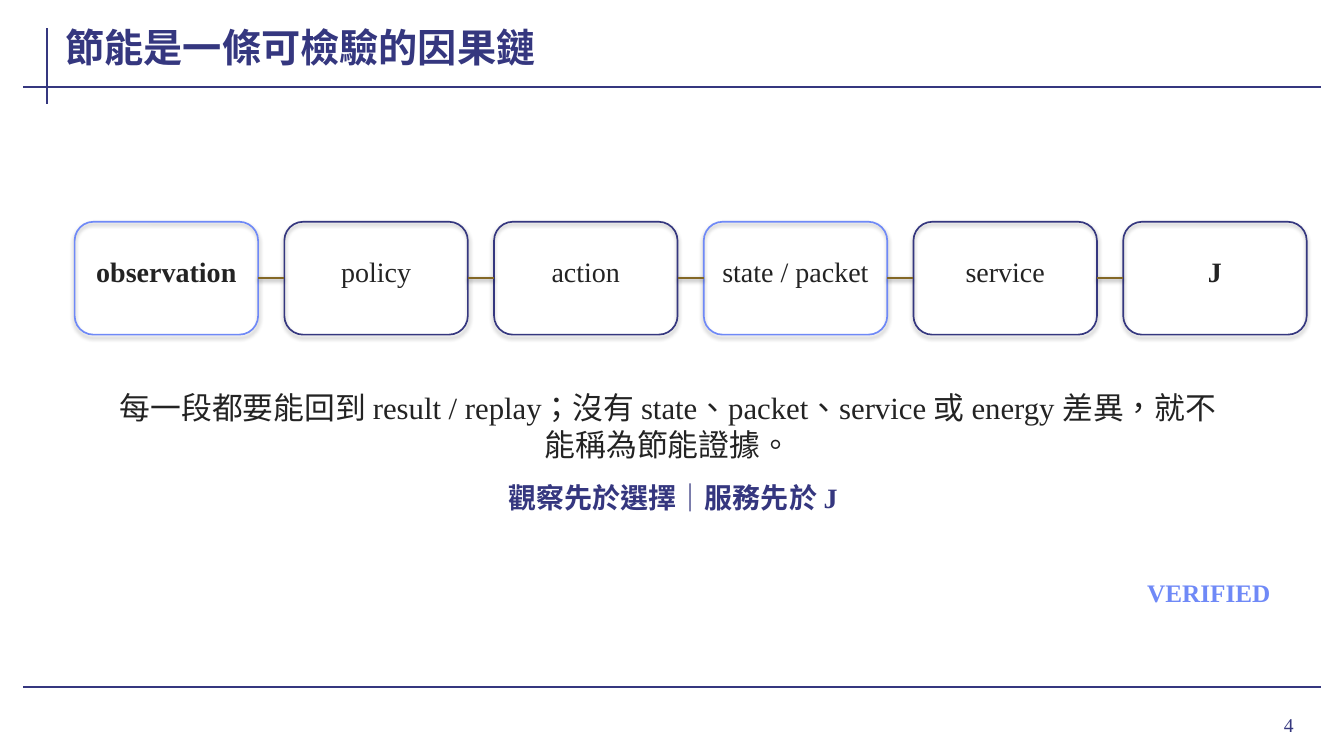
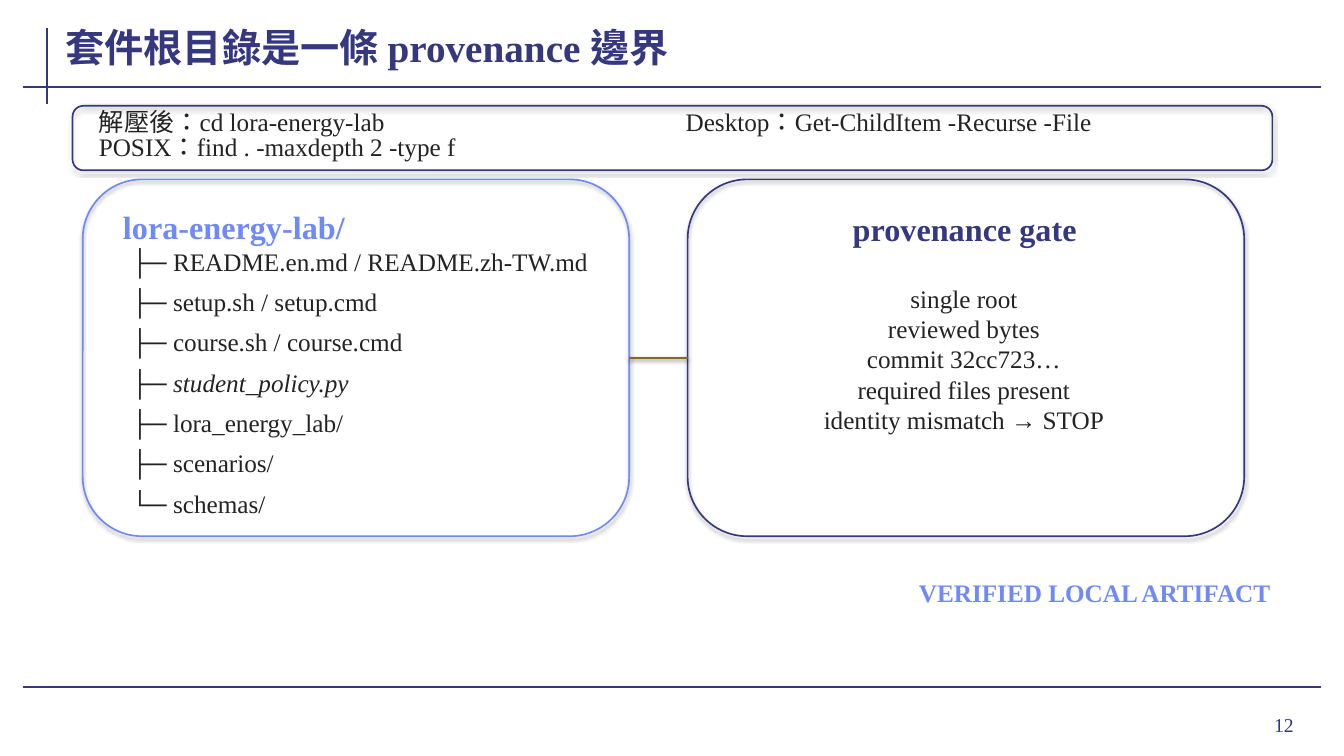
from lxml import etree
from pptx import Presentation
from pptx.dml.color import RGBColor
from pptx.enum.lang import MSO_LANGUAGE_ID as Lang
from pptx.enum.shapes import MSO_CONNECTOR as Conn, MSO_SHAPE as Shape
from pptx.enum.text import MSO_ANCHOR as Anchor, MSO_AUTO_SIZE as Auto, PP_ALIGN as Align
from pptx.oxml.ns import qn
from pptx.util import Inches, Pt

NAVY = RGBColor(0x35, 0x37, 0x7F)
BLUE = RGBColor(0x6F, 0x89, 0xF7)
INK = RGBColor(0x23, 0x23, 0x23)
GOLD = RGBColor(0x84, 0x68, 0x26)
FONT = "Times New Roman"
ROOMY = (0.08, 0.06)
TIGHT = (0.02, 0)
RULES = [(0.47, 0.28, 0.47, 1.03), (0.23, 0.86, 13.1, 0.86), (0.23, 6.82, 13.1, 6.82)]
NODES = [("observation", BLUE, True), ("policy", NAVY, False), ("action", NAVY, False),
         ("state / packet", BLUE, False), ("service", NAVY, False), ("J", NAVY, True)]
FILES = [["├─ README.en.md / README.zh-TW.md"], ["├─ setup.sh / setup.cmd"],
         ["├─ course.sh / course.cmd"], ["├─ ", "student_policy.py"],
         ["├─ lora_energy_lab/"], ["├─ scenarios/"], ["└─ schemas/"]]
CHECKS = [["single root"], ["reviewed bytes"], ["commit 32cc723…"],
          ["required files present"], ["identity mismatch → STOP"]]


def assign(obj, values):
    """Set every attribute named in a dict of format values."""
    for name, value in values.items():
        setattr(obj, name, value)


def set_font(font, size, color, bold=False, italic=False):
    """Apply the deck typeface with the given look."""
    assign(font, {"name": FONT, "size": Pt(size), "bold": bold, "italic": italic,
                  "language_id": Lang.TRADITIONAL_CHINESE})
    font.color.rgb = color


def set_effect(shape, alpha=None, dist=0):
    """Give a shape a soft downward shadow, or none without alpha."""
    effects = etree.SubElement(shape.element.spPr, qn("a:effectLst"))
    if alpha:
        shadow = etree.SubElement(effects, qn("a:outerShdw"), blurRad=str(Pt(3.1)),
                                  dist=str(Pt(dist)), dir="5400000", rotWithShape="0")
        color = etree.SubElement(shadow, qn("a:srgbClr"), val="000000")
        etree.SubElement(color, qn("a:alpha"), val=str(alpha * 1000))


def add_line(s, ends, color, width):
    """Draw a straight line between two points."""
    line = s.shapes.add_connector(Conn.STRAIGHT, *map(Inches, ends))
    line.line.color.rgb = color
    line.line.width = Pt(width)
    return line


def add_link(s, left, right, width):
    """Join the facing sides of two frames."""
    y = left.top + left.height // 2
    ends = [v / Inches(1) for v in (left.left + left.width, y, right.left, y)]
    link = add_line(s, ends, GOLD, width)
    link.begin_connect(left, 3)
    link.end_connect(right, 1)
    set_effect(link, 38, 1.6)


def add_frame(s, box, color):
    """Draw an unfilled rounded frame with a shadow."""
    frame = s.shapes.add_shape(Shape.ROUNDED_RECTANGLE, *map(Inches, box))
    frame.fill.background()
    frame.line.color.rgb = color
    frame.line.width = Pt(1.2)
    set_effect(frame, 35, 1.8)
    return frame


def add_text(s, box, paras, size, color=INK, bold=False, align=Align.LEFT,
             inset=ROOMY, anchor=Anchor.MIDDLE, wrap=True, pitch=None, auto=Auto.SHAPE_TO_FIT_TEXT):
    """Place paragraphs in a text box; a second run in a paragraph is italic."""
    tf = s.shapes.add_textbox(*map(Inches, box)).text_frame
    x, y = map(Inches, inset)
    assign(tf, {"margin_left": x, "margin_right": x, "margin_top": y, "margin_bottom": y,
                "word_wrap": wrap, "auto_size": auto, "vertical_anchor": anchor})
    for i, runs in enumerate(paras):
        p = tf.add_paragraph() if i else tf.paragraphs[0]
        p.alignment = align
        if pitch:
            p.line_spacing = Pt(pitch)
        for j, words in enumerate(runs):
            r = p.add_run()
            r.text = words
            set_font(r.font, size, color, bold, j > 0)


def add_rules(s, layout):
    """Draw the navy rules and hand them to the layout."""
    for i, ends in enumerate(RULES):
        rule = add_line(s, ends, NAVY, 1.5)
        set_effect(rule)
        rule.element.nvCxnSpPr.cNvPr.set("id", str(20 + i))
        layout.shapes.element.append(rule.element)


def start_slide(prs, layout, title, number, status):
    """Add a slide with its title, page number and status mark."""
    s = prs.slides.add_slide(layout)
    shape = s.shapes.title
    assign(shape, {"left": Inches(0.62), "top": Inches(0.15),
                   "width": Inches(12.49), "height": Inches(0.62)})
    tf = shape.text_frame
    tf.text = title
    x, y = Inches(0.03), Inches(0.01)
    assign(tf, {"margin_left": x, "margin_right": x, "margin_top": y, "margin_bottom": y,
                "word_wrap": True, "auto_size": Auto.NONE, "vertical_anchor": Anchor.MIDDLE})
    p = tf.paragraphs[0]
    p.alignment = Align.LEFT
    set_font(p.runs[0].font, 28, NAVY, True)
    add_text(s, (11.96, 6.93, 0.97, 0.52), [[number]], 14, NAVY, align=Align.RIGHT,
             inset=(0.1, 0.05), auto=Auto.NONE)
    add_text(s, (8, 5.72, 4.62, 0.32), [[status]], 18, BLUE, True, Align.RIGHT, TIGHT)
    return s


def add_chain(s, box, gap):
    """Spread the linked nodes of the causal chain over a box."""
    x, y, w, h = box
    node_w = (w - gap * (len(NODES) - 1)) / len(NODES)
    frames = []
    for i, (label, color, bold) in enumerate(NODES):
        left = x + i * (node_w + gap)
        frames.append(add_frame(s, (left, y, node_w, h), color))
        add_text(s, (left + 0.07, y + 0.21, node_w - 0.14, 0.56), [[label]], 20,
                 bold=bold, align=Align.CENTER)
    for left, right in zip(frames, frames[1:]):
        add_link(s, left, right, 1.6)


def add_commands(s, box):
    """Frame the shell commands in two columns."""
    x, y, w, h = box
    add_frame(s, box, NAVY)
    for dx, dy, words in [(0.18, 0.03, "解壓後：cd lora-energy-lab"),
                          (0.18, 0.28, "POSIX：find . -maxdepth 2 -type f"),
                          (6, 0.03, "Desktop：Get-ChildItem -Recurse -File")]:
        add_text(s, (x + dx, y + dy, 5.58, 0.25), [[words]], 18, wrap=False)


def add_tree(s, box):
    """Frame the package file tree."""
    x, y, w, h = box
    frame = add_frame(s, box, BLUE)
    add_text(s, (x + 0.32, y + 0.22, w - 0.62, 0.44), [["lora-energy-lab/"]], 23, BLUE, True,
             anchor=Anchor.TOP)
    add_text(s, (x + 0.46, y + 0.56, w - 0.8, 2.8), FILES, 18, inset=TIGHT,
             anchor=Anchor.TOP, pitch=28.8)
    return frame


def add_gate(s, box):
    """Frame the provenance checks."""
    x, y, w, h = box
    frame = add_frame(s, box, NAVY)
    add_text(s, (x + 0.28, y + 0.26, w - 0.58, 0.46), [["provenance gate"]], 23, NAVY, True,
             Align.CENTER)
    add_text(s, (x + 0.5, y + 0.96, w - 1.04, 1.64), CHECKS, 18, align=Align.CENTER)
    return frame


def build_chain_slide(prs, layout):
    """Build the causal chain slide."""
    s = start_slide(prs, layout, "節能是一條可檢驗的因果鏈", "4", "VERIFIED")
    add_rules(s, layout)
    add_chain(s, (0.74, 2.2, 12.22, 1.12), 0.26)
    add_text(s, (1, 3.83, 11.25, 0.78),
             [["每一段都要能回到 result / replay；沒有 state、packet、service 或 energy 差異，就不能稱為節能證據。"]],
             22, align=Align.CENTER)
    add_text(s, (1.8, 4.72, 9.75, 0.42), [["觀察先於選擇｜服務先於 J"]], 20, NAVY, True, Align.CENTER)


def build_package_slide(prs, layout):
    """Build the package root slide."""
    s = start_slide(prs, layout, "套件根目錄是一條 provenance 邊界", "12", "VERIFIED LOCAL ARTIFACT")
    add_commands(s, (0.72, 1.05, 11.9, 0.64))
    tree = add_tree(s, (0.82, 1.78, 5.42, 3.54))
    gate = add_gate(s, (6.82, 1.78, 5.52, 3.54))
    add_link(s, tree, gate, 1.8)


def main():
    """Build and save the deck."""
    prs = Presentation()
    assign(prs, {"slide_width": Inches(13.33), "slide_height": Inches(7.5)})
    layout = prs.slide_layouts[5]
    build_chain_slide(prs, layout)
    build_package_slide(prs, layout)
    prs.save("out.pptx")


if __name__ == "__main__":
    main()
